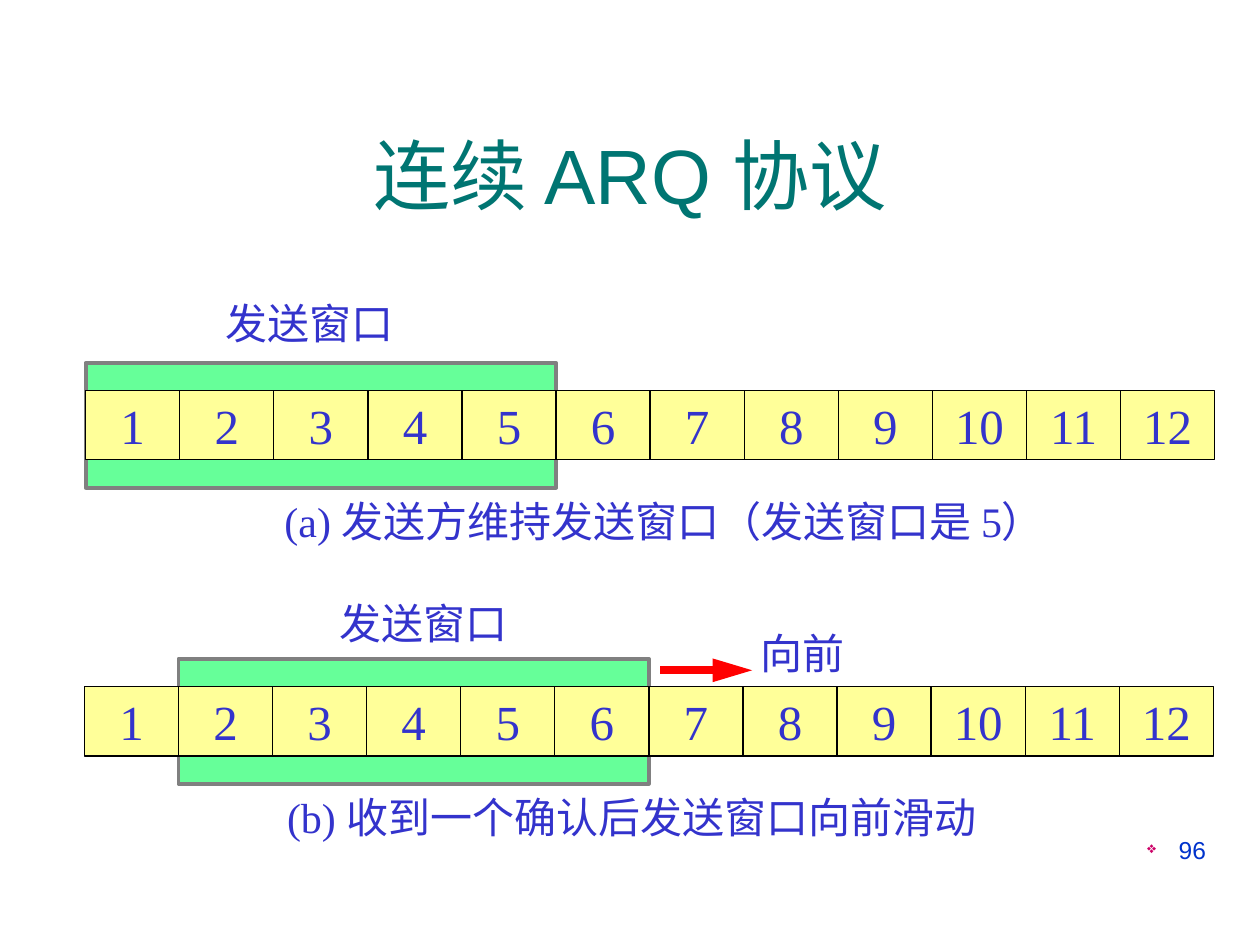
from lxml.etree import SubElement
from pptx import Presentation
from pptx.dml.color import RGBColor
from pptx.enum.shapes import MSO_CONNECTOR as Connector, MSO_SHAPE as Shape
from pptx.enum.text import MSO_ANCHOR as Anchor, PP_ALIGN as Align
from pptx.oxml.ns import qn
from pptx.util import Inches, Pt

SERIF, SANS = "Times New Roman", "Arial"
FRAME_COUNT, WINDOW_SIZE = 12, 5
FRAME_WIDTH, FRAME_HEIGHT = 8.96 / FRAME_COUNT, 0.55
WINDOW_MARGIN = 0.22


def color(value):
    return RGBColor.from_string(value)


def add_run(paragraph, text, size, font_name, font_color):
    run = paragraph.add_run()
    run.text = text
    run.font.size = Pt(size)
    run.font.name = font_name
    run.font.color.rgb = color(font_color)


def add_text(shapes, text, left, top, width, height=0.5, size=24, wrap=False,
             align=Align.LEFT, anchor=Anchor.TOP):
    box = shapes.add_textbox(Inches(left), Inches(top), Inches(width), Inches(height))
    frame = box.text_frame
    frame.word_wrap = wrap
    frame.vertical_anchor = anchor
    paragraph = frame.paragraphs[0]
    paragraph.alignment = align
    add_run(paragraph, text, size, SERIF, "3333CC")


def add_rectangle(shapes, left, top, width, height, fill, line, line_width):
    shape = shapes.add_shape(Shape.RECTANGLE, Inches(left), Inches(top),
                             Inches(width), Inches(height))
    shape.shadow.inherit = False
    shape.fill.solid()
    shape.fill.fore_color.rgb = color(fill)
    shape.line.color.rgb = color(line)
    shape.line.width = Pt(line_width)


def add_line(shapes, start, end, line, line_width, arrow=False):
    connector = shapes.add_connector(Connector.STRAIGHT, Inches(start[0]), Inches(start[1]),
                                     Inches(end[0]), Inches(end[1]))
    connector.line.color.rgb = color(line)
    connector.line.width = Pt(line_width)
    if arrow:
        SubElement(connector.line._get_or_add_ln(), qn("a:tailEnd"),
                   type="triangle", w="med", len="lg")
    SubElement(connector._element.spPr, qn("a:effectLst"))


def add_frame_row(shapes, left, top, first_in_window):
    window_left = left + (first_in_window - 1) * FRAME_WIDTH
    add_rectangle(shapes, window_left, top - WINDOW_MARGIN, WINDOW_SIZE * FRAME_WIDTH,
                  FRAME_HEIGHT + 2 * WINDOW_MARGIN, "66FF99", "808080", 2.25)
    add_rectangle(shapes, left, top, FRAME_COUNT * FRAME_WIDTH, FRAME_HEIGHT,
                  "FFFF99", "000000", 0.75)
    for index in range(FRAME_COUNT):
        x = left + index * FRAME_WIDTH
        add_text(shapes, str(index + 1), x, top, FRAME_WIDTH, FRAME_HEIGHT, 28,
                 align=Align.CENTER, anchor=Anchor.MIDDLE)
        if index:
            add_line(shapes, (x, top), (x, top + FRAME_HEIGHT), "000000", 0.75)


def add_title(slide, text):
    title = slide.shapes.title
    title.left, title.top = Inches(0.33), Inches(0.75)
    title.width, title.height = Inches(9.34), Inches(1.25)
    title.text_frame.vertical_anchor = Anchor.MIDDLE
    paragraph = title.text_frame.paragraphs[0]
    paragraph.alignment = Align.CENTER
    add_run(paragraph, text, 44, SANS, "007572")


def add_page_number(slide, text):
    box = slide.shapes.add_textbox(Inches(7.17), Inches(6.58), Inches(2.5), Inches(0.52))
    box.text_frame.word_wrap = True
    paragraph = box.text_frame.paragraphs[0]
    paragraph.alignment = Align.RIGHT
    properties = paragraph._p.get_or_add_pPr()
    properties.set("marL", str(Inches(0.25)))
    properties.set("indent", str(-Inches(0.25)))
    bullet_color = SubElement(properties, qn("a:buClr"))
    SubElement(bullet_color, qn("a:srgbClr"), val="CC0066")
    SubElement(properties, qn("a:buSzPct"), val="65000")
    SubElement(properties, qn("a:buChar"), char="❖")
    add_run(paragraph, text, 14, SANS, "0033CC")


def main():
    presentation = Presentation()
    presentation.slide_width, presentation.slide_height = Inches(10), Inches(7.5)
    slide = presentation.slides.add_slide(presentation.slide_layouts[5])
    add_title(slide, "连续 ARQ 协议")
    add_page_number(slide, "96")

    add_frame_row(slide.shapes, 0.68, 3.1, 1)
    add_text(slide.shapes, "(a) 发送方维持发送窗口（发送窗口是 5）", 2.16, 3.88, 6.24, wrap=True)
    add_text(slide.shapes, "发送窗口", 1.69, 2.31, 1.53)

    moved = slide.shapes.add_group_shape().shapes
    add_frame_row(moved, 0.67, 5.45, 2)
    add_text(moved, "(b) 收到一个确认后发送窗口向前滑动", 2.18, 6.23, 5.67, wrap=True)
    add_line(moved, (5.24, 5.32), (5.97, 5.32), "FF0000", 4.5, arrow=True)
    add_text(moved, "向前", 5.94, 4.93, 0.87)
    add_text(moved, "发送窗口", 2.6, 4.69, 1.53)
    presentation.save("out.pptx")


if __name__ == "__main__":
    main()
